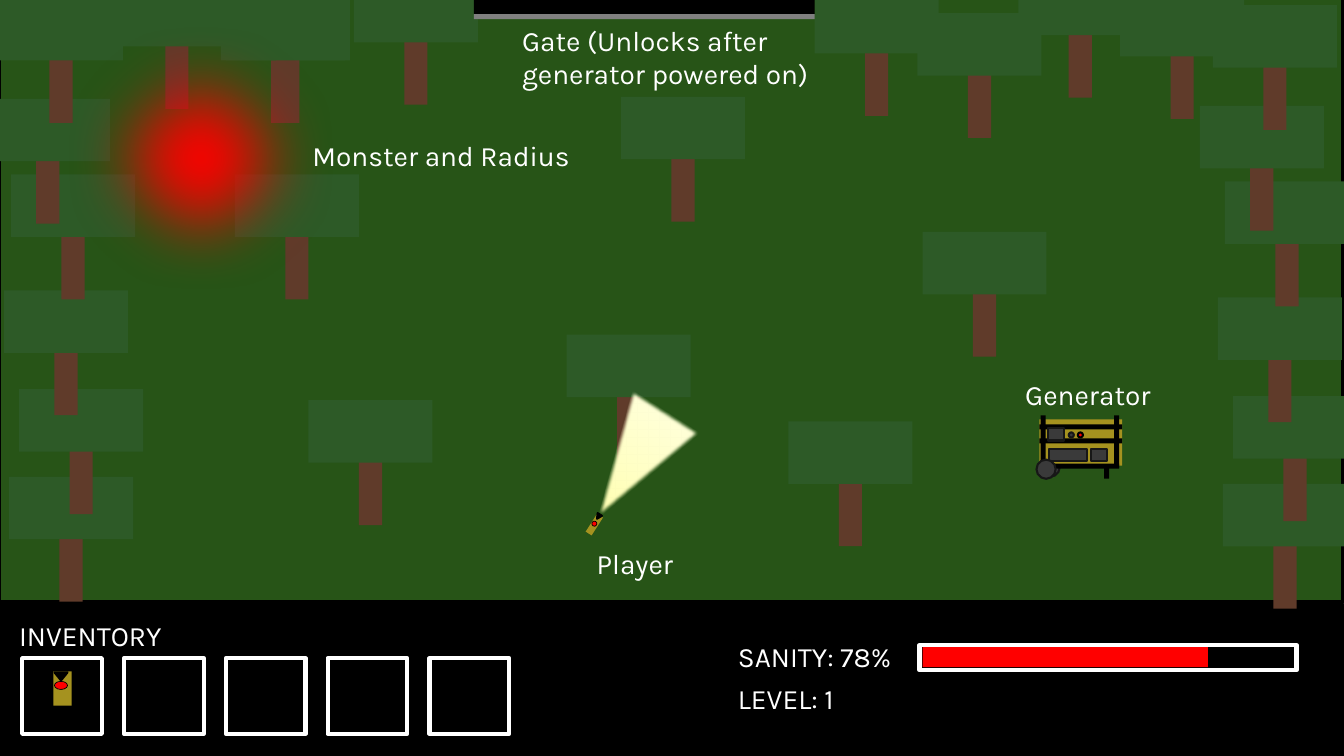
from lxml import etree
from pptx import Presentation
from pptx.dml.color import RGBColor
from pptx.enum import shapes, text
from pptx.oxml import ns
from pptx.util import Inches, Pt

RECT = shapes.MSO_SHAPE.RECTANGLE
OVAL = shapes.MSO_SHAPE.OVAL
TRIANGLE = shapes.MSO_SHAPE.ISOSCELES_TRIANGLE
BLACK, WHITE, RED = "000000", "FFFFFF", "FF0000"
TRUNK, LEAVES = "603B2A", "2D5A27"
YELLOW, STEEL, STEEL_EDGE = "A5921F", "3A3A3A", "171717"

prs = Presentation()
prs.slide_width, prs.slide_height = Inches(13.33), Inches(7.5)
slide = prs.slides.add_slide(prs.slide_layouts[6])


def draw(kind, left, top, width, height, fill, line=None, weight=1.5, turn=0):
    shape = slide.shapes.add_shape(
        kind, Inches(left), Inches(top), Inches(width), Inches(height))
    shape.shadow.inherit = False
    shape.rotation = turn
    shape.fill.solid()
    shape.fill.fore_color.rgb = RGBColor.from_string(fill)
    if line:
        shape.line.color.rgb = RGBColor.from_string(line)
        shape.line.width = Pt(weight)
    else:
        shape.line.fill.background()
    return shape


def soften(shape, radius):
    effects = shape._element.spPr.find(ns.qn("a:effectLst"))
    etree.SubElement(effects, ns.qn("a:softEdge"), rad=str(Pt(radius)))


# Status bar and field
draw(RECT, 0, 5.99, 13.33, 1.51, BLACK)
draw(RECT, -0.01, -0.02, 13.33, 5.99, "275417", BLACK, 3)

# Inventory slots
for slot in range(5):
    draw(RECT, 0.22 + 1.01 * slot, 6.53, 0.79, 0.75, BLACK, WHITE, 3)

# Sanity meter
draw(RECT, 9.12, 6.4, 3.74, 0.25, BLACK, WHITE, 3)
draw(RECT, 9.15, 6.42, 2.83, 0.2, RED)

# Trees: the right edge repeats the left one, shifted
left_edge = [(0.09, 4.73), (0.19, 3.86), (0.04, 2.88),
             (0.11, 1.73), (-0.14, 0.98), (-0.01, -0.02)]
right_edge = [(x + 12.04, y + 0.07) for x, y in left_edge]
top_edge = [(1.14, -0.16), (2.19, -0.02), (3.51, -0.2), (2.24, -0.02),
            (8.08, -0.09), (9.1, 0.13), (10.1, -0.27), (11.11, -0.06)]
meadow = [(9.15, 2.3), (3.06, 3.97), (5.62, 3.32),
          (2.33, 1.73), (6.16, 0.96), (7.82, 4.18)]
for x, y in left_edge + right_edge + top_edge + meadow:
    draw(RECT, x + 0.5, y + 0.38, 0.23, 0.86, TRUNK)
    draw(RECT, x, y, 1.23, 0.62, LEAVES)

# Gate
draw(RECT, 4.7, -0.06, 3.38, 0.2, BLACK)
draw(RECT, 4.7, 0.14, 3.38, 0.05, "808080")

# Generator: rear wheel, body, frame, panels, front wheel
draw(OVAL, 10.32, 4.54, 0.19, 0.19, STEEL, STEEL_EDGE)
draw(RECT, 10.31, 4.16, 0.82, 0.46, YELLOW)
for x, y, width, height in [
        (10.32, 4.12, 0.05, 0.52), (11.05, 4.12, 0.05, 0.52),
        (10.31, 4.21, 0.82, 0.05), (10.31, 4.35, 0.82, 0.05),
        (10.33, 4.6, 0.77, 0.05), (10.95, 4.61, 0.05, 0.14)]:
    draw(RECT, x, y, width, height, BLACK)
for x, y, width in [(10.82, 4.45, 0.16), (10.39, 4.25, 0.16), (10.4, 4.45, 0.38)]:
    draw(RECT, x, y, width, 0.12, STEEL, STEEL_EDGE)
draw(OVAL, 10.6, 4.29, 0.05, 0.05, STEEL, STEEL_EDGE)
draw(OVAL, 10.69, 4.29, 0.05, 0.05, RED, BLACK)
draw(OVAL, 10.28, 4.56, 0.19, 0.19, STEEL, STEEL_EDGE)

# Flashlight beam
beam = draw(TRIANGLE, 5.85, 3.97, 0.82, 1.31, "FFFFC5", LEAVES, turn=212.6)
solid = beam._element.spPr.find(ns.qn("a:solidFill"))
gradient = etree.Element(ns.qn("a:gradFill"), rotWithShape="1")
stops = etree.SubElement(gradient, ns.qn("a:gsLst"))
for position, color in [(0, "FFFFA0"), (50, "FFFFC5"), (100, "FFFFE3")]:
    stop = etree.SubElement(stops, ns.qn("a:gs"), pos=str(position * 1000))
    etree.SubElement(stop, ns.qn("a:srgbClr"), val=color)
etree.SubElement(gradient, ns.qn("a:lin"), ang=str(90 * 60000), scaled="0")
solid.getparent().replace(solid, gradient)
soften(beam, 2.5)

# Player's flashlight
draw(RECT, 5.86, 5.1, 0.07, 0.21, YELLOW, turn=32.6)
draw(TRIANGLE, 5.91, 5.1, 0.05, 0.05, BLACK, BLACK, turn=212.6)
draw(OVAL, 5.87, 5.17, 0.05, 0.05, RED, BLACK, 0.5, turn=32.6)

# Monster
monster = draw(OVAL, 0.42, 0.03, 3.14, 3.07, RED, BLACK)
soften(monster, 50)

# Flashlight in the first slot
draw(RECT, 0.53, 6.66, 0.18, 0.34, YELLOW)
draw(TRIANGLE, 0.54, 6.67, 0.13, 0.08, BLACK, BLACK, turn=180)
draw(OVAL, 0.54, 6.76, 0.13, 0.08, RED, BLACK, 0.5)

# Labels
for wording, x, y, width, height in [
        ("INVENTORY", 0.09, 6.09, 2.79, 0.44),
        ("SANITY: 78%", 7.22, 6.3, 2.79, 0.44),
        ("LEVEL: 1", 7.22, 6.71, 2.79, 0.44),
        ("Generator", 10.07, 3.7, 2.79, 0.44),
        ("Player", 5.82, 5.37, 2.79, 0.44),
        ("Monster and Radius", 3, 1.32, 2.79, 0.44),
        ("Gate (Unlocks after generator powered on)", 5.08, 0.18, 3.09, 0.77)]:
    label = slide.shapes.add_textbox(
        Inches(x), Inches(y), Inches(width), Inches(height)).text_frame
    label.word_wrap = True
    label.auto_size = text.MSO_AUTO_SIZE.SHAPE_TO_FIT_TEXT
    run = label.paragraphs[0].add_run()
    run.text = wording
    run.font.name = "Karla"
    run.font.size = Pt(20)
    run.font.color.rgb = RGBColor.from_string(WHITE)

prs.save("out.pptx")
